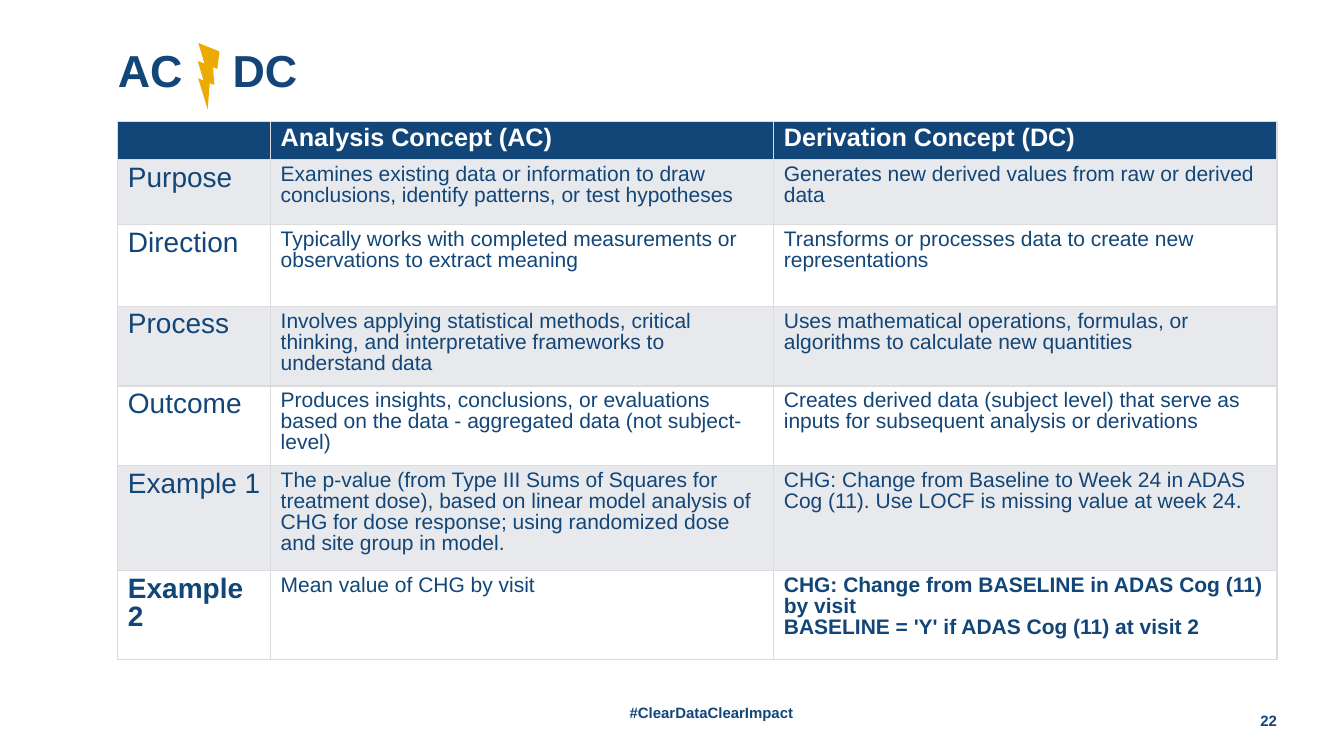
from lxml.etree import SubElement
from pptx import Presentation
from pptx.dml.color import RGBColor
from pptx.enum.shapes import MSO_SHAPE
from pptx.enum.text import MSO_ANCHOR, MSO_AUTO_SIZE, PP_ALIGN
from pptx.oxml.ns import qn
from pptx.util import Cm, Pt

NAVY = RGBColor(0x13, 0x46, 0x78)
WHITE = RGBColor(0xFF, 0xFF, 0xFF)
BAND = RGBColor(0xE7, 0xE9, 0xEC)
BORDER = RGBColor(0xDC, 0xDC, 0xDC)
GOLD = RGBColor(0xED, 0xAA, 0x00)

LEFT, WIDTH = 2.97, 29.21
COLUMNS = [3.85, 12.68, 12.68]
ROW_HEIGHTS = [0.92, 1.63, 2.06, 2.01, 2.01, 2.65, 2.23]
HEADER = ["", "Analysis Concept (AC)", "Derivation Concept (DC)"]
ROWS = [
    ["Purpose",
     "Examines existing data or information to draw conclusions, identify patterns, or test hypotheses",
     "Generates new derived values from raw or derived data"],
    ["Direction",
     "Typically works with completed measurements or observations to extract meaning",
     "Transforms or processes data to create new representations"],
    ["Process",
     "Involves applying statistical methods, critical thinking, and interpretative frameworks "
     "to understand data",
     "Uses mathematical operations, formulas, or algorithms to calculate new quantities"],
    ["Outcome",
     "Produces insights, conclusions, or evaluations based on the data - aggregated data "
     "(not subject-level)",
     "Creates derived data (subject level) that serve as inputs for subsequent analysis or derivations"],
    ["Example 1",
     "The p-value (from Type III Sums of Squares for treatment dose), based on linear model "
     "analysis of CHG for dose response; using randomized dose and site group in model.",
     "CHG: Change from Baseline to Week 24 in ADAS Cog (11). Use LOCF is missing value at week 24."],
    ["Example 2",
     "Mean value of CHG by visit",
     "CHG: Change from BASELINE in ADAS Cog (11) by visit\n"
     "BASELINE = 'Y' if ADAS Cog (11) at visit 2"],
]
BOLD_CELLS = {(6, 0), (6, 2)}


def write(tf, text, size=15, color=NAVY, bold=False, align=PP_ALIGN.LEFT, spacing=None, tab=None):
    """Fill a text frame, one paragraph per line of text."""
    for i, line in enumerate(text.split("\n")):
        p = tf.paragraphs[0] if i == 0 else tf.add_paragraph()
        p.alignment = align
        p.line_spacing = spacing
        p.space_before = Pt(0)
        if tab:
            stops = SubElement(p._p.get_or_add_pPr(), qn("a:tabLst"))
            SubElement(stops, qn("a:tab"), pos=str(Cm(tab)), algn="l")
        p.font.size = Pt(size)
        r = p.add_run()
        r.text = line
        r.font.name = "Arial"
        r.font.size = Pt(size)
        r.font.bold = bold
        r.font.color.rgb = color


def border_cell(cell):
    """Draw a thin line on all four sides; borders must precede the fill."""
    tcPr = cell._tc.get_or_add_tcPr()
    for side in ("a:lnL", "a:lnR", "a:lnT", "a:lnB"):
        ln = SubElement(tcPr, qn(side), w=str(Pt(1)))
        fill = SubElement(ln, qn("a:solidFill"))
        SubElement(fill, qn("a:srgbClr"), val=str(BORDER))


class SlideBuilder:
    def __init__(self, prs):
        self.slide = prs.slides.add_slide(prs.slide_layouts[5])

    def frame(self, sp, anchor, top_inset=0):
        tf = sp.text_frame
        tf.word_wrap = True
        tf.auto_size = MSO_AUTO_SIZE.NONE
        tf.vertical_anchor = anchor
        tf.margin_left = tf.margin_right = tf.margin_bottom = 0
        tf.margin_top = Cm(top_inset)
        return tf

    def title(self, text, x, y, w, h, **style):
        sp = self.slide.shapes.title
        sp.left, sp.top, sp.width, sp.height = Cm(x), Cm(y), Cm(w), Cm(h)
        write(self.frame(sp, MSO_ANCHOR.MIDDLE), text, **style)

    def text(self, text, x, y, w, h, anchor=MSO_ANCHOR.MIDDLE, top_inset=0, **style):
        sp = self.slide.shapes.add_textbox(Cm(x), Cm(y), Cm(w), Cm(h))
        write(self.frame(sp, anchor, top_inset), text, **style)

    def shape(self, kind, x, y, w, h, color, rotation=0):
        sp = self.slide.shapes.add_shape(kind, Cm(x), Cm(y), Cm(w), Cm(h))
        sp.shadow.inherit = False
        sp.fill.solid()
        sp.fill.fore_color.rgb = color
        sp.line.fill.background()
        sp.rotation = rotation

    def table(self, rows, x, y, widths, heights):
        table = self.slide.shapes.add_table(
            len(rows), len(widths), Cm(x), Cm(y), Cm(sum(widths)), Cm(sum(heights))).table
        for column, width in zip(table.columns, widths):
            column.width = Cm(width)
        for i, (row, height) in enumerate(zip(rows, heights)):
            table.rows[i].height = Cm(height)
            for j, text in enumerate(row):
                cell = table.cell(i, j)
                border_cell(cell)
                cell.fill.solid()
                cell.fill.fore_color.rgb = NAVY if i == 0 else BAND if i % 2 else WHITE
                if i == 0:
                    write(cell.text_frame, text, size=18, color=WHITE, bold=True, spacing=0.9)
                else:
                    write(cell.text_frame, text, size=15 if j else 20,
                          bold=(i, j) in BOLD_CELLS, spacing=0.9)


def main():
    prs = Presentation()
    prs.slide_width, prs.slide_height = Cm(33.87), Cm(19.05)
    s = SlideBuilder(prs)
    s.title("AC\tDC", LEFT, 0, WIDTH, 3.68, size=32, bold=True, spacing=0.9, tab=2.89)
    s.table([HEADER] + ROWS, LEFT, 3.06, COLUMNS, ROW_HEIGHTS)
    footer = dict(size=10.7, bold=True)
    s.text("22", 31.04, 17.65, 1.14, 1.02, align=PP_ALIGN.RIGHT, **footer)
    s.text("#ClearDataClearImpact", 9.27, 17.65, 17.32, 1.02, anchor=MSO_ANCHOR.TOP,
           top_inset=0.08, align=PP_ALIGN.CENTER, **footer)
    s.shape(MSO_SHAPE.LIGHTNING_BOLT, 4.52, 1.22, 1.35, 1.24, GOLD, rotation=45)
    prs.save("out.pptx")


if __name__ == "__main__":
    main()
